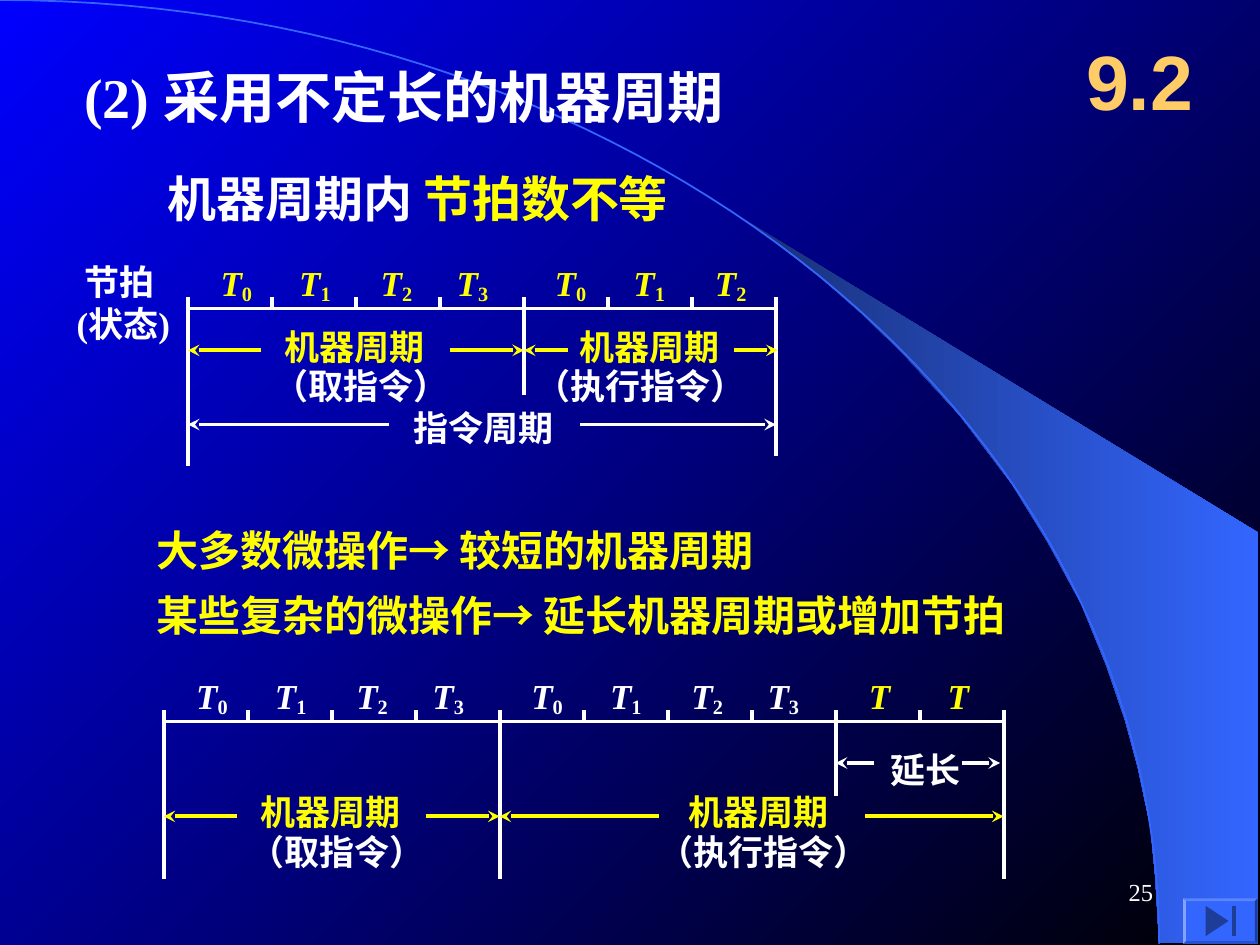
from lxml.etree import SubElement
from pptx import Presentation
from pptx.dml.color import RGBColor
from pptx.enum.shapes import MSO_CONNECTOR, MSO_SHAPE
from pptx.enum.text import MSO_ANCHOR, MSO_AUTO_SIZE, PP_ALIGN
from pptx.oxml.ns import qn
from pptx.util import Pt

COLORS = {"white": "FFFFFF", "yellow": "FFFF00", "gold": "FFCC66", "blue": "3366FF",
          "navy": "182F76", "icon": "1E3D99", "bg_start": "0000FF", "bg_end": "000000"}
SERIF, SANS = "Times New Roman", "Arial"
PITCH, TICK = 48, 6.3          # beat width and short tick height
BEAT_X = [11.5, 56.5, 103, 146.5]   # label offsets inside a machine cycle

# Text boxes: left, top, width, height, size, paragraphs of (text, colour, font), extras
TEXTS = [
    (41, 32.4, 461, 46, 32, [[("(2) 采用不定长的机器周期", "white", SERIF)]], {}),
    (88.6, 92.9, 397, 41, 28,
     [[("机器周期内 ", "white", SERIF), ("节拍数不等", "yellow", SERIF)]], {}),
    (36.7, 145.4, 77, 55.4, 20,
     [[(" 节拍", "white", SERIF)], [("(状态)", "white", SERIF)]], {"wrap": False}),
    (82.1, 287.3, 533, 82, 24,
     [[("大多数微操作", "yellow", SERIF), ("→ ", "yellow", SANS),
       ("较短的机器周期", "yellow", SERIF)],
      [("某些复杂的微操作", "yellow", SERIF), ("→ ", "yellow", SANS),
       ("延长机器周期或增加节拍", "yellow", SERIF)]], {"spacing": 1.3}),
    (606.2, 12.2, 90, 66.2, 44, [[("9.2", "gold", SANS)]],
     {"align": PP_ALIGN.CENTER, "anchor": MSO_ANCHOR.MIDDLE}),
    (516.2, 491.8, 149.8, 36, 14, [[("25", "white", SERIF)]],
     {"align": PP_ALIGN.RIGHT, "anchor": MSO_ANCHOR.MIDDLE, "bold": False}),
]

# Timing diagrams, x measured from the left end of the axis
DIAGRAMS = [
    {"left": 107.4, "top": 170, "beats": 7,
     "tall": {0: 96.5, 4: 56, 7: 90.5},
     "cycles": [(0, ["0", "1", "2", "3"], "yellow"), (191, ["0", "1", "2"], "yellow")],
     # start, end of left arrow, start of right arrow, end, y, colour
     "spans": [(0, 42, 150, 192, 200.2, "yellow"), (192, 217, 312, 337, 200.2, "yellow"),
               (0, 115, 224, 336, 242.6, "white")],
     "captions": [("机器周期", 48.2, 182.2, "yellow"), ("机器周期", 216.7, 182.2, "yellow"),
                  ("（取指令）", 41.8, 205, "white"), ("（执行指令）", 191.5, 205, "white"),
                  ("指令周期", 121.7, 229, "white")]},
    {"left": 93.5, "top": 406, "beats": 10,
     "tall": {0: 96.5, 4: 96.5, 8: 49, 10: 96.5},
     "cycles": [(0, ["0", "1", "2", "3"], "white"), (191.5, ["0", "1", "2", "3"], "white"),
                (384.5, ["", ""], "yellow")],
     "spans": [(0, 42, 150, 192, 466.5, "yellow"), (192, 283, 401, 480, 466.5, "yellow"),
               (384, 406, 456, 478, 436, "white")],
     "captions": [("机器周期", 48.2, 448.4, "yellow"), ("机器周期", 293, 448.4, "yellow"),
                  ("（取指令）", 41.8, 471, "white"), ("（执行指令）", 275.8, 471, "white"),
                  ("延长", 408.2, 424, "white")]},
]

# Backdrop outlines
ARC = [(0, 0), (365.8, 0), (662.4, 241.2), (662.4, 539.3)]   # Bezier control points
WEDGE = [(662.4, 538.6), (719.3, 539.3), (719.3, 304.6), (424.1, 124.6), (449.3, 143.3),
         (470.2, 159.8), (493.2, 180), (515.5, 201.6), (548.6, 237.6), (578.2, 276.5),
         (599, 310.3), (617.8, 344.9), (632.2, 380.2), (643, 411.8), (650.2, 438.5),
         (657.4, 472.3), (660.2, 501.1)]
ICON = [[(702, 526.3), (689, 535), (689, 517.7)],
        [(704.2, 517.7), (704.2, 535), (706.3, 535), (706.3, 517.7)]]


def rgb(name):
    return RGBColor.from_string(COLORS[name])


def set_gradient(fill, start, end, angle):
    fill.gradient()
    fill.gradient_angle = angle
    for stop, name, pos in zip(fill.gradient_stops, (start, end), (0, 1)):
        stop.color.rgb = rgb(name)
        stop.position = pos


def add_outline(points, close=True):
    pts = [(Pt(x), Pt(y)) for x, y in points]
    fb = s.shapes.build_freeform(*pts[0], scale=1.0)
    fb.add_line_segments(pts[1:], close=close)
    sp = fb.convert_to_shape()
    sp.shadow.inherit = False
    return sp


def add_line(x1, y1, x2, y2, color="white", arrow=False):
    c = s.shapes.add_connector(MSO_CONNECTOR.STRAIGHT, Pt(x1), Pt(y1), Pt(x2), Pt(y2))
    c.line.color.rgb = rgb(color)
    c.line.width = Pt(2.25)
    if arrow:
        SubElement(c.line._get_or_add_ln(), qn("a:tailEnd"), type="stealth")
    SubElement(c._element.spPr, qn("a:effectLst"))


def add_run(p, text, size, color, font=SERIF, bold=True, italic=False):
    r = p.add_run()
    r.text = text
    r.font.color.rgb = rgb(color)
    for key, value in {"size": Pt(size), "name": font, "bold": bold, "italic": italic}.items():
        setattr(r.font, key, value)
    return r


def add_box(x, y, w, h, wrap=True, anchor=MSO_ANCHOR.TOP):
    tf = s.shapes.add_textbox(Pt(x), Pt(y), Pt(w), Pt(h)).text_frame
    fit = MSO_AUTO_SIZE.SHAPE_TO_FIT_TEXT if anchor == MSO_ANCHOR.TOP else MSO_AUTO_SIZE.NONE
    for key, value in {"word_wrap": wrap, "vertical_anchor": anchor, "auto_size": fit}.items():
        setattr(tf, key, value)
    return tf


def bezier(t):
    weights = [(1 - t) ** 3, 3 * t * (1 - t) ** 2, 3 * t * t * (1 - t), t ** 3]
    return tuple(sum(w * pt[i] for w, pt in zip(weights, ARC)) for i in (0, 1))


prs = Presentation()
prs.slide_width, prs.slide_height = Pt(720), Pt(540)
s = prs.slides.add_slide(prs.slide_layouts[6])

# Backdrop: gradient, wedge and arc
set_gradient(s.background.fill, "bg_start", "bg_end", 315)
wedge = add_outline(WEDGE)
set_gradient(wedge.fill, "navy", "blue", 0)
wedge.line.fill.background()
arc = add_outline([bezier(i / 60) for i in range(61)], close=False)
arc.fill.background()
arc.line.color.rgb = rgb("blue")
arc.line.width = Pt(1)

# Timing diagrams
for d in DIAGRAMS:
    left, top = d["left"], d["top"]
    axis = top + TICK
    add_line(left, axis, left + d["beats"] * PITCH, axis)
    for i in range(d["beats"] + 1):
        x = left + i * PITCH
        add_line(x, top, x, top + d["tall"].get(i, TICK))
    for x1, a, b, x2, y, color in d["spans"]:
        add_line(left + a, y, left + x1, y, color, arrow=True)
        add_line(left + b, y, left + x2, y, color, arrow=True)
    for text, x, y, color in d["captions"]:
        tf = add_box(left + x, y, 20 * len(text) + 14.4, 31.7, wrap=False)
        add_run(tf.paragraphs[0], text, 20, color)
    for start, indices, color in d["cycles"]:
        for dx, index in zip(BEAT_X, indices):
            tf = add_box(left + start + dx, top - 24.2, 32.4 if index else 26.6, 32, wrap=False)
            p = tf.paragraphs[0]
            add_run(p, "T", 20, color, italic=True)
            if index:
                r = add_run(p, index, 20, color)
                r.font._element.set("baseline", "-15000")

# Headings, notes and page number
for x, y, w, h, size, paras, extra in TEXTS:
    tf = add_box(x, y, w, h, extra.get("wrap", True), extra.get("anchor", MSO_ANCHOR.TOP))
    for i, runs in enumerate(paras):
        p = tf.add_paragraph() if i else tf.paragraphs[0]
        p.alignment = extra.get("align", PP_ALIGN.LEFT)
        p.line_spacing = extra.get("spacing")
        for text, color, font in runs:
            add_run(p, text, size, color, font, extra.get("bold", True))

# Skip-to-end button
button = s.shapes.add_shape(MSO_SHAPE.BEVEL, Pt(676.1), Pt(513.4), Pt(42.5), Pt(25.9))
button.adjustments[0] = 0.06
button.shadow.inherit = False
for sp, color in [(button, "blue")] + [(add_outline(pts), "icon") for pts in ICON]:
    sp.fill.solid()
    sp.fill.fore_color.rgb = rgb(color)
    sp.line.fill.background()

prs.save("out.pptx")
